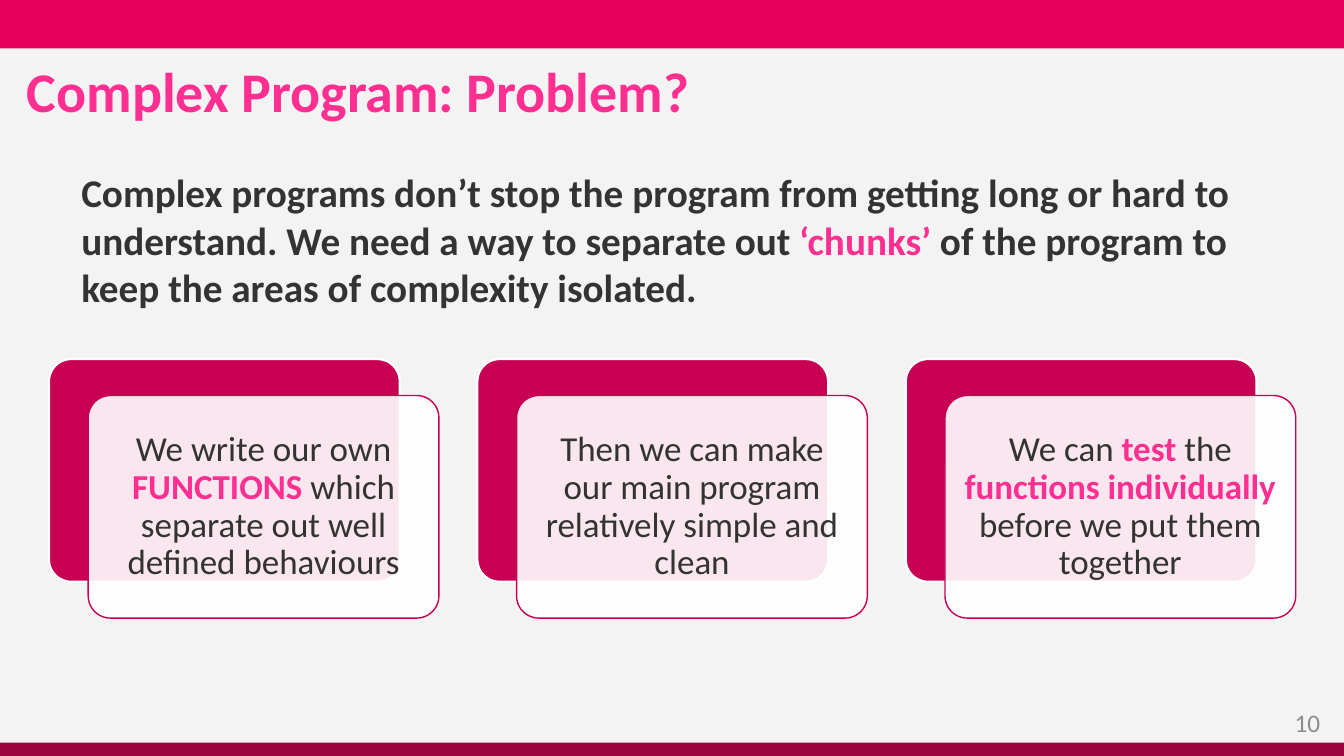
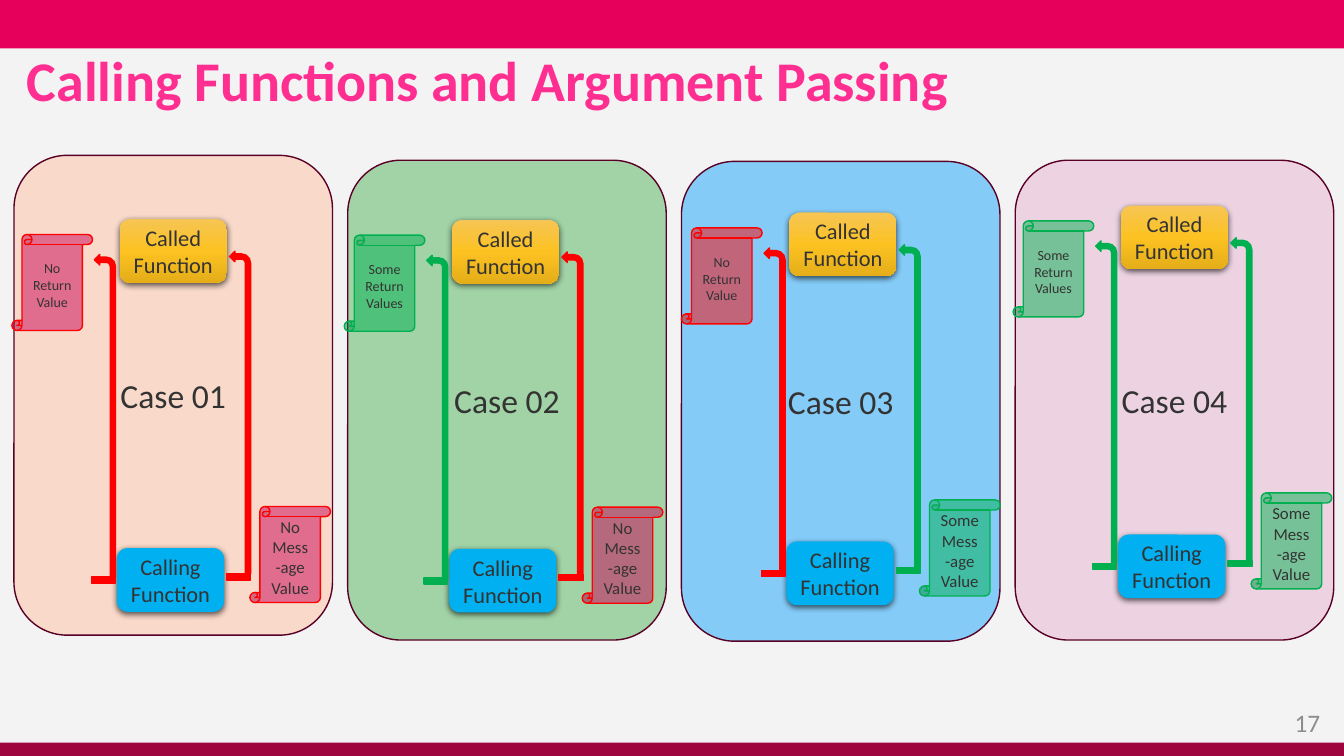
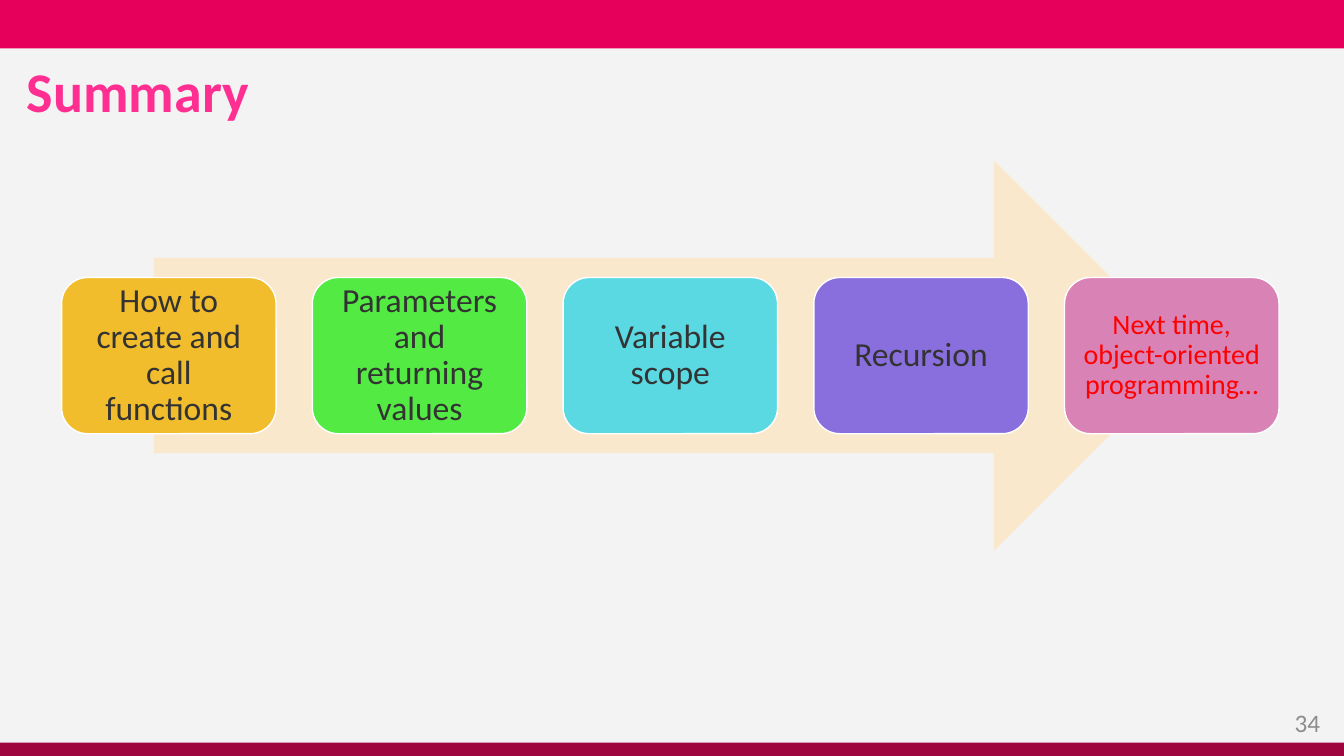
from collections import namedtuple
from copy import deepcopy

from lxml import etree
from pptx import Presentation
from pptx import util as u
from pptx.dml.color import RGBColor
from pptx.enum import shapes, text
from pptx.oxml import ns

Pt = u.Pt
Kind = shapes.MSO_SHAPE
Align = text.PP_ALIGN
Anchor = text.MSO_ANCHOR
Box = namedtuple("Box", "x y w h")
Run = namedtuple("Run", "text color bold", defaults=(None, False))


class Theme:
    font = "Calibri"
    page = "F3F3F3"
    band = "E6005B"
    foot = "9E043D"
    title = "FF2F92"
    ink = "333333"
    number = "8C8C8C"
    crimson = "C80054"
    white = "FFFFFF"
    red = "FF0000"
    green = "00B050"
    blue = "00B0F0"
    panel_line = "580025"
    gold = ((0, "F6C554"), (0.5, "FCC222"), (1, "E5AE19"))
    pale_arrow = "FAE8CD"
    size_title = 40
    size_body = 28
    size_card = 25
    size_step = 24
    size_last_step = 20
    size_number = 18
    size_function = 16
    size_message = 12
    size_return = 10


def rgb(value):
    return RGBColor.from_string(value)


def write(sp, runs, size, align=Align.CENTER, anchor=Anchor.MIDDLE, spacing=1.0, inset=None):
    tf = sp.text_frame
    tf.word_wrap = True
    tf.vertical_anchor = anchor
    if inset is not None:
        tf.margin_left = tf.margin_top = tf.margin_right = tf.margin_bottom = Pt(inset)
    p = tf.paragraphs[0]
    p.alignment = align
    p.line_spacing = spacing
    for part in runs:
        r = p.add_run()
        r.text = part.text
        r.font.name = Theme.font
        r.font.size = Pt(size)
        r.font.bold = part.bold
        r.font.color.rgb = rgb(part.color or Theme.ink)


def add_text(s, box, runs, size, **style):
    sp = s.shapes.add_textbox(*map(Pt, box))
    write(sp, runs, size, **style)


def add_shape(s, kind, box, fill, line=None, width=1, alpha=None, radius=None):
    sp = s.shapes.add_shape(kind, *map(Pt, box))
    sp.shadow.inherit = False
    sp.fill.solid()
    sp.fill.fore_color.rgb = rgb(fill)
    if alpha is not None:
        color = sp.element.spPr.find(".//" + ns.qn("a:srgbClr"))
        etree.SubElement(color, ns.qn("a:alpha"), val=str(alpha * 1000))
    if line:
        sp.line.color.rgb = rgb(line)
        sp.line.width = Pt(width)
    else:
        sp.line.fill.background()
    if radius is not None:
        sp.adjustments[0] = radius
    return sp


def add_gradient(sp, stops):
    sp.fill.gradient()
    sp.fill.gradient_angle = 270
    gs_list = sp.element.spPr.find(".//" + ns.qn("a:gsLst"))
    while len(gs_list) < len(stops):
        gs_list.append(deepcopy(gs_list[-1]))
    for stop, (position, color) in zip(sp.fill.gradient_stops, stops):
        stop.position = position
        stop.color.rgb = rgb(color)


def add_shadow(sp):
    effects = sp.element.spPr.find(ns.qn("a:effectLst"))
    shadow = etree.SubElement(effects, ns.qn("a:outerShdw"), blurRad=str(Pt(4.5)),
                              dist=str(Pt(1.5)), dir="5400000", algn="ctr", rotWithShape="0")
    color = etree.SubElement(shadow, ns.qn("a:srgbClr"), val="000000")
    etree.SubElement(color, ns.qn("a:alpha"), val="63000")


def add_slide(prs, title, number, title_top=42.5):
    s = prs.slides.add_slide(prs.slide_layouts[6])
    s.background.fill.solid()
    s.background.fill.fore_color.rgb = rgb(Theme.page)
    add_shape(s, Kind.RECTANGLE, Box(0, 0, 960, 34.6), Theme.band)
    add_shape(s, Kind.RECTANGLE, Box(0, 530.5, 960, 9.5), Theme.foot)
    add_text(s, Box(788, 502, 162, 29), [Run(str(number), Theme.number)], Theme.size_number,
             align=Align.RIGHT, anchor=Anchor.TOP)
    add_text(s, Box(12.2, title_top, 890, 50.4), [Run(title, Theme.title, True)],
             Theme.size_title, align=Align.LEFT, spacing=0.9)
    return s


def add_card(s, box, runs):
    w, h = box.w - 28, box.h - 26
    add_shape(s, Kind.ROUNDED_RECTANGLE, Box(box.x, box.y, w, h), Theme.crimson,
              Theme.white, 1.5, radius=0.1)
    front = add_shape(s, Kind.ROUNDED_RECTANGLE, Box(box.x + 28, box.y + 26, w, h),
                      Theme.white, Theme.crimson, alpha=90, radius=0.1)
    write(front, runs, Theme.size_card, spacing=0.9, inset=7.2)


def add_function(s, box, label, fill=Theme.blue, gradient=None):
    sp = add_shape(s, Kind.ROUNDED_RECTANGLE, box, fill)
    if gradient:
        add_gradient(sp, gradient)
    add_shadow(sp)
    write(sp, [Run(label)], Theme.size_function)


def add_path(s, x, y, color):
    arrow = add_shape(s, Kind.BENT_ARROW, Box(x, y, 15, 230.5), color, color)
    arrow.element.spPr.get_or_add_xfrm().set("flipH", "1")
    add_shape(s, Kind.RECTANGLE, Box(x - 2, y + 230.5, 17, 4.3), color, color)


def add_scroll(s, x, y, label, size, fill, line):
    sp = add_shape(s, Kind.VERTICAL_SCROLL, Box(x, y, 57.6, 68.6), fill, line, alpha=50)
    write(sp, [Run(label)], size)


def add_case(s, box, label, fill, dx, dy, returned, message):
    panel = add_shape(s, Kind.ROUNDED_RECTANGLE, box, fill, Theme.panel_line, alpha=50)
    write(panel, [Run(label)], Theme.size_step)
    x, y = box.x + dx, box.y + dy
    add_function(s, Box(x, y, 76.5, 45.5), "Called Function", gradient=Theme.gold)
    add_function(s, Box(x - 2, y + 235, 76.5, 45.5), "Calling Function")
    add_path(s, x + 78.5, y + 23, message[-1])
    add_path(s, x - 18, y + 25.3, returned[-1])
    return_label, *return_colors = returned
    message_label, *message_colors = message
    add_scroll(s, x - 77, y + 11, return_label, Theme.size_return, *return_colors)
    add_scroll(s, x + 93, y + 205.3, message_label, Theme.size_message, *message_colors)


def add_steps(s, box, steps):
    add_shape(s, Kind.RIGHT_ARROW, Box(box.x + 66, box.y, 739.5, box.h), Theme.pale_arrow)
    w, h = 153.2, 111.6
    pitch = (box.w - w) / (len(steps) - 1)
    top = box.y + (box.h - h) / 2
    for i, (label, fill, color, size, inset) in enumerate(steps):
        sp = add_shape(s, Kind.ROUNDED_RECTANGLE, Box(box.x + i * pitch, top, w, h),
                       fill, Theme.white)
        write(sp, [Run(label, color)], size, spacing=0.9, inset=inset)


def problem_slide(prs):
    s = add_slide(prs, "Complex Program: Problem?", 10)
    add_text(s, Box(51, 117, 886, 118), [
        Run("Complex programs don’t stop the program from getting long or hard to understand. "
            "We need a way to separate out ", bold=True),
        Run("‘chunks’", Theme.title, True),
        Run(" of the program to keep the areas of complexity isolated.", bold=True),
    ], Theme.size_body, align=Align.LEFT, anchor=Anchor.TOP)
    cards = [
        [Run("We write our own "), Run("FUNCTIONS", Theme.title, True),
         Run(" which separate out well defined behaviours")],
        [Run("Then we can make our main program relatively simple and clean")],
        [Run("We can "), Run("test", Theme.title, True), Run(" the "),
         Run("functions individually", Theme.title, True),
         Run(" before we put them together")],
    ]
    for i, runs in enumerate(cards):
        add_card(s, Box(35 + 306 * i, 256.5, 278.5, 185), runs)


def cases_slide(prs):
    s = add_slide(prs, "Calling Functions and Argument Passing", 17, title_top=34.6)
    no_return = "No Return Value", Theme.crimson, Theme.red
    bright_no_return = "No Return Value", Theme.red, Theme.red
    some_return = "Some Return Values", Theme.green, Theme.green
    no_message = "No Mess-age Value", Theme.crimson, Theme.red
    some_message = "Some Mess-age Value", Theme.green, Theme.green
    cases = [
        (111, "FFC0A1", 75.5, 45.5, no_return, no_message),
        (114.5, "50B45B", 74.5, 42.5, some_return, no_message),
        (115.3, "16A4FD", 77, 36.5, bright_no_return, some_message),
        (114.5, "E8B4D3", 75.5, 32.3, some_return, some_message),
    ]
    for i, (top, *details) in enumerate(cases):
        box = Box(10 + 238.4 * i, top, 227.5, 342.7)
        add_case(s, box, f"Case {i + 1:02}", *details)


def summary_slide(prs):
    s = add_slide(prs, "Summary", 34)
    regular = Theme.ink, Theme.size_step, 7.2
    add_steps(s, Box(44, 114.5, 869.6, 279), [
        ("How to create and call functions", "F2BD2C", *regular),
        ("Parameters and returning values", "54EA44", *regular),
        ("Variable scope", "5AD9E3", *regular),
        ("Recursion", "896FDD", *regular),
        ("Next time, object-oriented programming…", "D982B5",
         Theme.red, Theme.size_last_step, 5.8),
    ])


def main():
    prs = Presentation()
    prs.slide_width, prs.slide_height = Pt(960), Pt(540)
    problem_slide(prs)
    cases_slide(prs)
    summary_slide(prs)
    prs.save("out.pptx")


if __name__ == "__main__":
    main()
